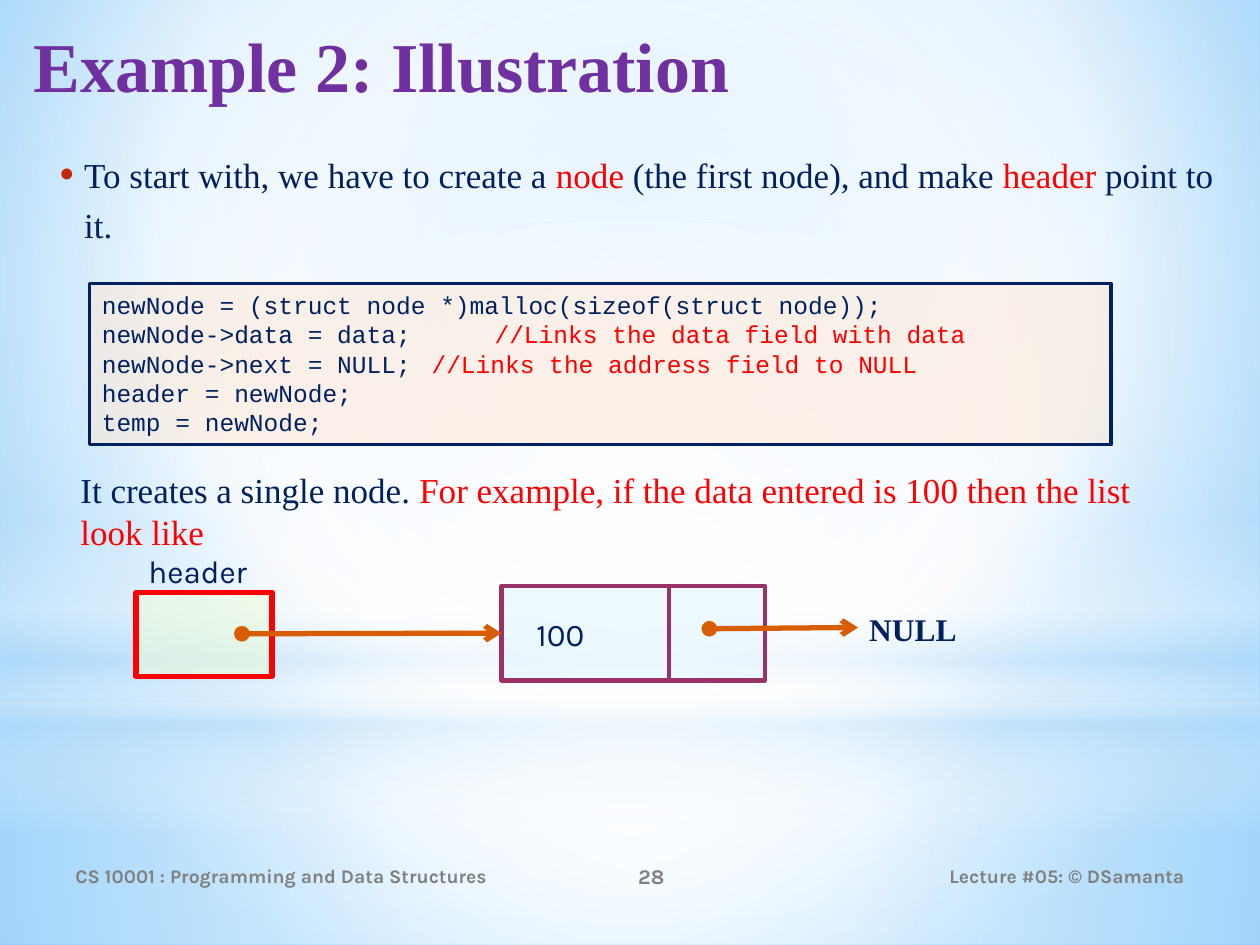
from lxml import etree
from pptx import Presentation
from pptx import util as u
from pptx.dml.color import RGBColor
from pptx.enum import shapes, text
from pptx.oxml.ns import qn

HUES = {
    "navy": "002060", "red": "FF0000", "purple": "7030A0", "grey": "808080",
    "plum": "993366", "orange": "D85C00", "rust": "C3260C", "peach": "FFE6D3",
    "ice": "DFF5FD", "lime": "EDFBDC", "white": "FFFFFF", "sky": "B4DCFA",
    "pale": "9ED5FF", "blue": "5BB9FF",
}
SERIF, SANS, MONO = "Times New Roman", "Karla", "Courier New"
BOX = shapes.MSO_SHAPE.RECTANGLE
OVAL = shapes.MSO_SHAPE.OVAL
LEFT, MID, RIGHT = (text.PP_ALIGN.LEFT, text.PP_ALIGN.CENTER, text.PP_ALIGN.RIGHT)
CENTRE = (50, 50, 50, 50)


def rgb(hue):
    return RGBColor.from_string(HUES[hue])


def sub(node, tag, **attrs):
    """Add a drawing element with the given attributes."""
    return etree.SubElement(node, qn("a:" + tag), {k: str(v) for k, v in attrs.items()})


def fade(fill, stops, focus=None, angle=90):
    """Turn a fill into a gradient of (position, hue, opacity) stops."""
    fill.gradient()
    grad = fill._fill._gradFill
    for child in list(grad):
        grad.remove(child)
    row = sub(grad, "gsLst")
    for pos, hue, alpha in stops:
        stop = sub(row, "gs", pos=pos * 1000)
        tone = sub(stop, "srgbClr", val=HUES[hue])
        if alpha < 100:
            sub(tone, "alpha", val=alpha * 1000)
    if focus:
        rect = {k: v * 1000 for k, v in zip("ltrb", focus)}
        sub(sub(grad, "path", path="circle"), "fillToRect", **rect)
    else:
        sub(grad, "lin", ang=angle * 60000, scaled=0)


def shape(slide, place, kind=BOX):
    item = slide.shapes.add_shape(kind, *map(u.Inches, place))
    item.shadow.inherit = False
    item.line.fill.background()
    return item


def panel(slide, place, fill, alpha, line, width):
    """Add an outlined box with a translucent fill."""
    item = shape(slide, place)
    item.fill.solid()
    item.fill.fore_color.rgb = rgb(fill)
    tone = item.fill._fill._solidFill.find(qn("a:srgbClr"))
    sub(tone, "alpha", val=alpha * 1000)
    item.line.color.rgb = rgb(line)
    item.line.width = u.Pt(width)
    return item


def write(frame, lines, size, font, bold=False, align=LEFT):
    """Fill a frame; each line is a list of (words, hue) runs."""
    frame.word_wrap = True
    for i, line in enumerate(lines):
        para = frame.add_paragraph() if i else frame.paragraphs[0]
        para.alignment = align
        para.font.size, para.font.name, para.font.bold = u.Pt(size), font, bold
        for words, hue in line:
            run = para.add_run()
            run.text = words
            run.font.color.rgb = rgb(hue)


def label(slide, place, runs, size, font, bold=False, align=LEFT,
          anchor=text.MSO_ANCHOR.TOP):
    frame = slide.shapes.add_textbox(*map(u.Inches, place)).text_frame
    frame.vertical_anchor = anchor
    write(frame, [runs], size, font, bold, align)
    return frame


def bullet(para):
    para.line_spacing = 1.2
    para.space_before, para.space_after = u.Pt(4), u.Pt(3)
    props = para._p.get_or_add_pPr()
    props.set("marL", str(u.Inches(0.25)))
    props.set("indent", str(u.Inches(-0.2)))
    sub(sub(props, "buClr"), "srgbClr", val=HUES["rust"])
    sub(props, "buSzPct", val=130000)
    sub(props, "buFont", typeface=SERIF)
    sub(props, "buChar", char="•")


def rule(slide, start, end, hue, width, arrow=False):
    line = slide.shapes.add_connector(
        shapes.MSO_CONNECTOR.STRAIGHT, *map(u.Inches, start + end))
    line.line.color.rgb = rgb(hue)
    line.line.width = u.Pt(width)
    if arrow:
        edge = line.line._get_or_add_ln()
        sub(edge, "headEnd", type="oval")
        sub(edge, "tailEnd", type="arrow")
    sub(line._element.spPr, "effectLst")
    return line


def backdrop(slide):
    fade(slide.background.fill,
         [(0, "pale", 100), (60, "white", 100), (100, "blue", 100)], (20, 10, 20, 60))
    layers = [
        ((0, 5.58, 10, 1.92), BOX, CENTRE,
         [(0, "white", 91), (37, "white", 76), (100, "sky", 79)]),
        ((0, 0, 10, 5.58), BOX, CENTRE,
         [(0, "white", 89), (48, "white", 62), (100, "sky", 79)]),
        ((0, 4.12, 10, 2.5), BOX, None,
         [(0, "white", 0), (29, "white", 30), (45, "sky", 40),
          (55, "white", 26), (65, "sky", 60), (100, "white", 0)]),
        ((0, 1.75, 10, 5.58), OVAL, CENTRE, [(0, "white", 100), (56, "white", 0)]),
    ]
    for place, kind, focus, stops in layers:
        fade(shape(slide, place, kind).fill, stops, focus)


def footer(slide):
    for left, width, words, size, align in [
            (0.5, 3.67, "CS 10001 : Programming and Data Structures", 11, LEFT),
            (4.17, 2, "28", 12, MID),
            (6.75, 2.75, "Lecture #05: © DSamanta", 11, RIGHT)]:
        label(slide, (left, 6.75, width, 0.4), [(words, "grey")], size, SANS,
              True, align, text.MSO_ANCHOR.MIDDLE)


def code(slide):
    frame = panel(slide, (0.71, 2.25, 8.11, 1.28), "peach", 49, "navy", 2).text_frame
    frame.vertical_anchor = text.MSO_ANCHOR.TOP
    write(frame, [
        [("newNode = (struct node *)malloc(sizeof(struct node));", "navy")],
        [("newNode->data = data; \t ", "navy"),
         ("//Links the data field with data", "red")],
        [("newNode->next = NULL;\t ", "navy"),
         ("//Links the address field to NULL", "red")],
        [("header = newNode;", "navy")],
        [("temp = newNode;", "navy")],
    ], 14, MONO)


def diagram(slide):
    node = panel(slide, (3.98, 4.65, 2.09, 0.75), "ice", 52, "plum", 2.5)
    panel(slide, (1.08, 4.7, 1.08, 0.67), "lime", 61, "red", 3)
    link = rule(slide, (1.92, 5.03), (3.98, 5.02), "orange", 3, arrow=True)
    link.end_connect(node, 1)
    label(slide, (1.08, 4.33, 1.17, 0.4), [("header", "navy")], 18, SANS)
    label(slide, (4.16, 4.83, 0.93, 0.4), [("100", "navy")], 18, SANS)
    rule(slide, (5.31, 4.65), (5.31, 5.4), "plum", 2.5)
    label(slide, (6.8, 4.79, 0.94, 0.4), [("NULL", "navy")], 18, SERIF, True)
    rule(slide, (5.63, 4.99), (6.81, 4.98), "orange", 3, arrow=True)


def main():
    deck = Presentation()
    deck.slide_width, deck.slide_height = u.Inches(10), u.Inches(7.5)
    slide = deck.slides.add_slide(deck.slide_layouts[6])
    backdrop(slide)
    footer(slide)

    # Title and opening point
    label(slide, (0.17, 0.13, 9.53, 0.85), [("Example 2: Illustration", "purple")],
          40, SERIF, True)
    intro = label(slide, (0.32, 1.1, 9.53, 1.1), [
        ("To start with, we have to create a ", "navy"), ("node", "red"),
        (" (the first node), and make ", "navy"), ("header", "red"),
        (" point to it.", "navy")], 20, SERIF)
    bullet(intro.paragraphs[0])

    # Code, its result and the list it makes
    code(slide)
    label(slide, (0.54, 3.67, 9.1, 0.77), [
        ("It creates a single node. ", "navy"),
        ("For example, if the data entered is 100 then the list look like", "red")],
        20, SERIF)
    diagram(slide)
    deck.save("out.pptx")


if __name__ == "__main__":
    main()
